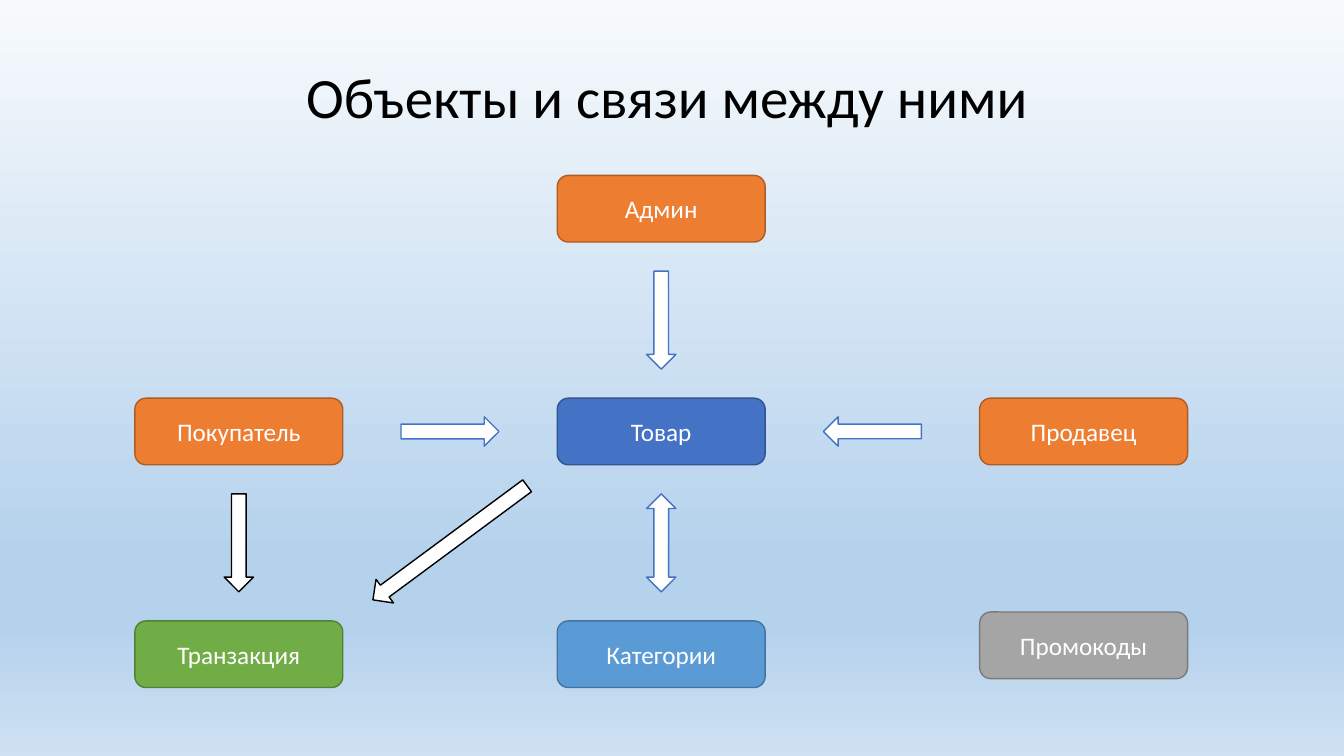
from copy import deepcopy

from pptx import Presentation
from pptx.dml.color import RGBColor
from pptx.enum.shapes import MSO_SHAPE
from pptx.enum.text import MSO_ANCHOR, MSO_AUTO_SIZE, PP_ALIGN
from pptx.oxml.ns import qn
from pptx.util import Pt

BOX = MSO_SHAPE.ROUNDED_RECTANGLE
DOWN = MSO_SHAPE.DOWN_ARROW
BOTH = MSO_SHAPE.LEFT_RIGHT_ARROW
LEFT, CENTER = PP_ALIGN.LEFT, PP_ALIGN.CENTER
MIDDLE = MSO_ANCHOR.MIDDLE
FIXED = MSO_AUTO_SIZE.NONE

WHITE = RGBColor(0xFF, 0xFF, 0xFF)
BLACK = RGBColor(0x00, 0x00, 0x00)
BLUE = RGBColor(0x44, 0x72, 0xC4)
NAVY = RGBColor(0x32, 0x54, 0x91)
ORANGE = RGBColor(0xED, 0x7D, 0x31)
RUST = RGBColor(0xAF, 0x5C, 0x24)
SKY = RGBColor(0x5B, 0x9B, 0xD5)
STEEL = RGBColor(0x43, 0x73, 0x9E)
GREEN = RGBColor(0x70, 0xAD, 0x47)
MOSS = RGBColor(0x53, 0x80, 0x35)
GRAY = RGBColor(0xA5, 0xA5, 0xA5)
SLATE = RGBColor(0x7A, 0x7A, 0x7A)
PALE = RGBColor(0xF7, 0xFA, 0xFD)
HAZE = RGBColor(0xB5, 0xD2, 0xEC)
MIST = RGBColor(0xCE, 0xE1, 0xF2)

FONT = "Calibri"
STOPS = [(0, PALE), (0.74, HAZE), (0.83, HAZE), (1, MIST)]
BOX_W, BOX_H = 148.5, 47.6
ARROW_W, ARROW_L = 21, 70
SLANT_L = 137

BOXES = [
    ("Покупатель", 0, 1, ORANGE, RUST),
    ("Продавец", 2, 1, ORANGE, RUST),
    ("Админ", 1, 0, ORANGE, RUST),
    ("Товар", 1, 1, BLUE, NAVY),
    ("Категории", 1, 2, SKY, STEEL),
    ("Транзакция", 0, 2, GREEN, MOSS),
    ("Промокоды", 2, 1.96, GRAY, SLATE),
]
ARROWS = [
    (DOWN, 1, 0.5, ARROW_W, ARROW_L, 0, BLUE),
    (BOTH, 1, 1.5, ARROW_L, ARROW_W, 90, BLUE),
    (DOWN, 1.5, 1, ARROW_W, ARROW_L, 90, BLUE),
    (DOWN, 0.5, 1, ARROW_W, ARROW_L, 270, BLUE),
    (DOWN, 0, 1.5, ARROW_W, ARROW_L, 0, BLACK),
    (DOWN, 0.5, 1.5, ARROW_W, SLANT_L, 53.5, BLACK),
]


def paint_back(slide):
    fill = slide.background.fill
    fill.gradient()
    fill.gradient_angle = 270
    stops = slide.background._cSld.find(".//" + qn("a:gsLst"))
    while len(stops) < len(STOPS):
        stops.append(deepcopy(stops[0]))
    for stop, (place, color) in zip(fill.gradient_stops, STOPS):
        stop.position = place
        stop.color.rgb = color


def add_title(slide, text):
    title = slide.shapes.title
    title.left, title.top = Pt(211.5), Pt(26.6)
    title.width, title.height = Pt(536.4), Pt(90)
    frame = title.text_frame
    frame.text = text
    frame.word_wrap = True
    frame.auto_size = FIXED
    frame.vertical_anchor = MIDDLE
    para = frame.paragraphs[0]
    para.alignment = LEFT
    para.line_spacing = 0.9
    set_font(para, 40.7, BLACK)


def set_font(para, size, color):
    para.font.name = FONT
    para.font.size = Pt(size)
    para.font.color.rgb = color


def add_part(slide, kind, col, row, width, height, fill, line):
    mid_x, mid_y = 170.6 + 301.7 * col, 149.1 + 159.1 * row
    part = slide.shapes.add_shape(
        kind, Pt(mid_x - width / 2), Pt(mid_y - height / 2), Pt(width), Pt(height)
    )
    part.shadow.inherit = False
    part.fill.solid()
    part.fill.fore_color.rgb = fill
    part.line.color.rgb = line
    part.line.width = Pt(1)
    return part


def add_box(slide, text, col, row, fill, line):
    box = add_part(slide, BOX, col, row, BOX_W, BOX_H, fill, line)
    frame = box.text_frame
    frame.text = text
    frame.vertical_anchor = MIDDLE
    para = frame.paragraphs[0]
    para.alignment = CENTER
    set_font(para, 18, WHITE)


def add_arrow(slide, kind, col, row, width, height, angle, line):
    arrow = add_part(slide, kind, col, row, width, height, WHITE, line)
    arrow.rotation = angle


def main():
    deck = Presentation()
    deck.slide_width, deck.slide_height = Pt(960), Pt(540)
    slide = deck.slides.add_slide(deck.slide_layouts[5])
    paint_back(slide)
    add_title(slide, "Объекты и связи между ними")
    for box in BOXES:
        add_box(slide, *box)
    for arrow in ARROWS:
        add_arrow(slide, *arrow)
    deck.save("out.pptx")


if __name__ == "__main__":
    main()
